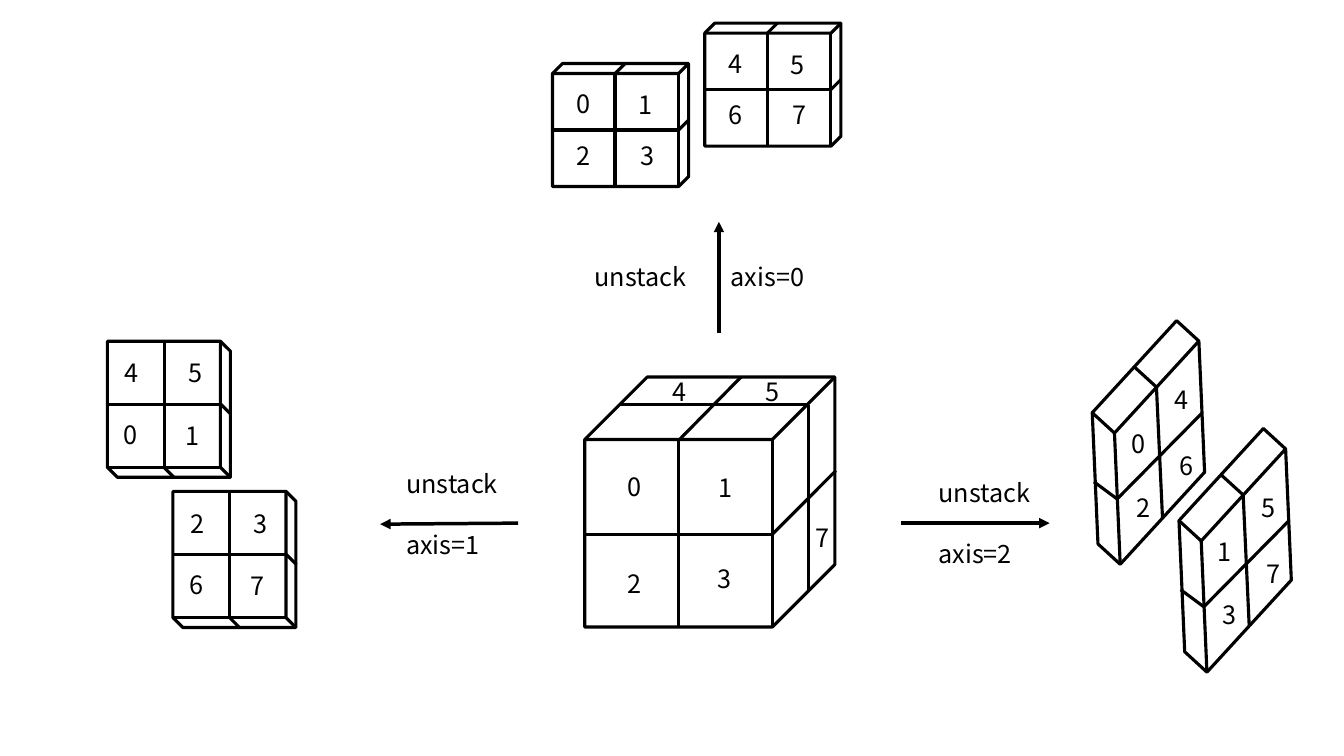
"""Slide showing how a 2x2x2 tensor is unstacked along each axis."""
from dataclasses import dataclass

from lxml import etree
from pptx import Presentation
from pptx import util as u
from pptx.dml.color import RGBColor
from pptx.enum import shapes, text
from pptx.oxml import ns

PX = u.Inches(1) // 100


@dataclass(frozen=True)
class Theme:
    """Colours, font and type sizes of the slide."""
    ink: RGBColor = RGBColor(0, 0, 0)
    font: str = "Noto Sans CJK KR"
    size: u.Pt = u.Pt(18)
    line_gap: u.Pt = u.Pt(22)
    edge: u.Pt = u.Pt(2.25)
    arrow: u.Pt = u.Pt(2.5)


@dataclass(frozen=True)
class Block:
    """Size, turn, depth, seams and digit spots, relative to the block's corner."""
    size: tuple
    turn: float
    depth: float
    seams: tuple
    spots: tuple


THEME = Theme()
FRAME = {"word_wrap": True, "auto_size": text.MSO_AUTO_SIZE.SHAPE_TO_FIT_TEXT}
FONT = {"name": THEME.font, "size": THEME.size}
DIGIT = (43, 41)

CUBE = Block(
    (248, 248), 0, 0.25,
    ((0, 156, 186, 156), (186, 156, 249, 93), (35, 27, 222, 27),
     (222, 28, 222, 212), (93, 62, 93, 249), (93, 63, 155, 0)),
    ((33, 89), (123, 90), (33, 185), (122, 180), (77, -6), (169, -6), (219, 139)))
UPRIGHT = Block(
    (135, 122), 0, 0.081,
    ((62, 10, 72, 0), (62, 122, 62, 10), (0, 66, 125, 66), (125, 66, 135, 56)),
    ((14, 20), (75, 21), (14, 71), (77, 71)))
LYING = Block(
    (135, 122), 90, 0.081,
    ((119, 56, 129, 66), (7, 56, 119, 56), (63, -6, 63, 119), (63, 119, 73, 129)),
    ((14, 5), (77, 5), (13, 66), (74, 67)))
SIDEWAYS = Block(
    (216, 122), 132.5, 0.755,
    ((54, 100, 77, 117), (77, 117, 161, 32), (94, -14, 116, 6), (116, 6, 122, 136)),
    ((81, 42), (124, -2), (86, 105), (129, 64)))

BLOCKS = (
    (CUBE, 580, 374, "0123457"),
    (UPRIGHT, 548, 63, "0123"),
    (UPRIGHT, 699, 23, "4567"),
    (LYING, 165, 494, "2367"),
    (LYING, 100, 345, "4501"),
    (SIDEWAYS, 1031, 378, "0426"),
    (SIDEWAYS, 1117, 485, "1537"),
)
STEPS = (
    ((713, 330, 713, 220), ((580, 254, 130, 40, ["unstack"]),
                            (715, 254, 126, 40, ["axis=0"]))),
    ((514, 519, 377, 520), ((393, 460, 261, 101, ["unstack", "axis=1"]),)),
    ((894, 519, 1041, 519), ((921, 469, 261, 101, ["unstack", "axis=2"]),)),
)


def px(*lengths):
    """Turn px lengths into EMU."""
    return [length * PX for length in lengths]


def apply(target, values):
    """Set each attribute of a dict on the target."""
    for name, value in values.items():
        setattr(target, name, value)


def add_label(group, left, top, width, height, lines):
    """Write lines of text in a box."""
    frame = group.shapes.add_textbox(*px(left, top, width, height)).text_frame
    apply(frame, FRAME)
    for index, words in enumerate(lines):
        paragraph = frame.add_paragraph() if index else frame.paragraphs[0]
        if index:
            paragraph.space_before = THEME.line_gap
        run = paragraph.add_run()
        run.text = words
        apply(run.font, FONT)
        run.font.color.rgb = THEME.ink


def add_line(group, ends, width, arrow=False):
    """Draw a straight line, with an arrowhead at its end if asked."""
    line = group.shapes.add_connector(shapes.MSO_CONNECTOR.STRAIGHT, *px(*ends))
    line.line.color.rgb = THEME.ink
    line.line.width = width
    if arrow:
        etree.SubElement(line.line._get_or_add_ln(), ns.qn("a:tailEnd"), type="triangle")
    etree.SubElement(line._element.spPr, ns.qn("a:effectLst"))


def draw_block(slide, block, left, top, digits):
    """Draw a block with its seams and digits from its top left corner."""
    group = slide.shapes.add_group_shape()
    solid = group.shapes.add_shape(shapes.MSO_SHAPE.CUBE, *px(left, top, *block.size))
    solid.adjustments[0] = block.depth
    solid.rotation = block.turn
    solid.shadow.inherit = False
    solid.fill.background()
    solid.line.color.rgb = THEME.ink
    solid.line.width = THEME.edge
    for x1, y1, x2, y2 in block.seams:
        add_line(group, (left + x1, top + y1, left + x2, top + y2), THEME.edge)
    for (x, y), digit in zip(block.spots, digits):
        add_label(group, left + x, top + y, *DIGIT, [digit])


def draw_step(slide, ends, labels):
    """Draw an unstack arrow with its labels."""
    group = slide.shapes.add_group_shape()
    add_line(group, ends, THEME.arrow, arrow=True)
    for label in labels:
        add_label(group, *label)


def main():
    """Build and save the slide."""
    deck = Presentation()
    deck.slide_width, deck.slide_height = px(1333, 750)
    slide = deck.slides.add_slide(deck.slide_layouts[6])
    for block in BLOCKS:
        draw_block(slide, *block)
    for step in STEPS:
        draw_step(slide, *step)
    deck.save("out.pptx")


if __name__ == "__main__":
    main()
